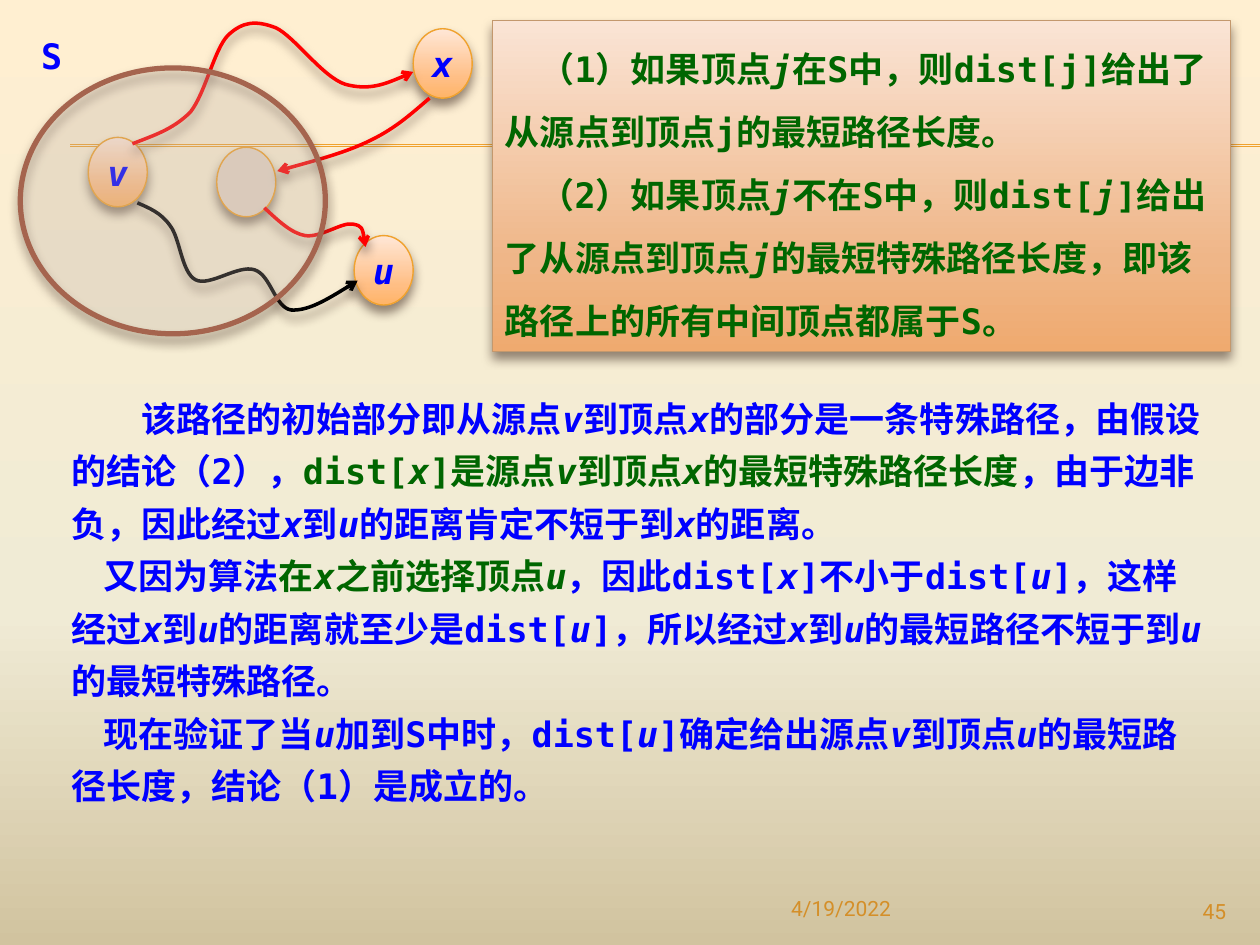
from copy import deepcopy

from lxml.etree import SubElement
from pptx import Presentation
from pptx.dml.color import RGBColor
from pptx.enum.shapes import MSO_CONNECTOR, MSO_SHAPE
from pptx.enum.text import MSO_ANCHOR, PP_ALIGN
from pptx.oxml.ns import qn
from pptx.util import Cm, Pt

MONO, BLUE, GREEN, GOLD = "DejaVu Sans Mono", "0000FF", "006600", "F0A22E"
BACKDROP = [(0, "FFEFD1"), (0.65, "F0EBD5"), (1, "D1C39F")]
NODE_FILL = [(0, "FFE7D7"), (0.72, "FFBE84"), (1, "FFB468")]
CLAIM_FILL = [(0, "FAE4D5"), (0.72, "EFB688"), (1, "EFAA6F")]

# In the texts, * toggles italic and | toggles the second colour.
CLAIMS = [
    (0.7, "（1）如果顶点*j*在S中，则dist[j]给出了从源点到顶点j的最短路径长度。"),
    (0.7, "（2）如果顶点*j*不在S中，则dist[*j*]给出了从源点到顶点*j*"
          "的最短特殊路径长度，即该路径上的所有中间顶点都属于S。"),
]
PROOF = [
    (1.41, "该路径的初始部分即从源点*v*到顶点*x*的部分是一条特殊路径，由假设的结论（2），"
           "|dist[*x*]是源点*v*到顶点*x*的最短特殊路径长度|，由于边非负，因此经过*x*到*u*"
           "的距离肯定不短于到*x*的距离。"),
    (0.65, "又因为算法|在*x*之前选择顶点*u*|，因此dist[*x*]不小于dist[*u*]，这样经过*x*到*u*"
           "的距离就至少是dist[*u*]，所以经过*x*到*u*的最短路径不短于到*u*的最短特殊路径。"),
    (0.65, "现在验证了当*u*加到S中时，dist[*u*]确定给出源点*v*到顶点*u*"
           "的最短路径长度，结论（1）是成立的。"),
]
NODES = [("v", 1.78, 2.77), ("x", 8.33, 0.58), ("u", 7.14, 4.75), ("", 4.37, 2.97)]
PATHS = [
    ("000000", [(2.77, 4.09), (3, 4.19), (3.25, 4.29), (3.43, 4.55),
                (3.63, 4.8), (3.66, 5.49), (3.94, 5.64),
                (4.22, 5.79), (4.8, 5.33), (5.13, 5.44),
                (5.46, 5.54), (5.54, 6.2), (5.87, 6.25),
                (6.22, 6.27), (6.71, 5.97), (7.21, 5.66)]),
    ("FF0000", [(2.67, 2.9), (3.07, 2.74), (3.48, 2.62), (3.84, 2.26),
                (4.14, 1.88), (4.32, 0.99), (4.6, 0.71),
                (4.9, 0.43), (5.16, 0.41), (5.56, 0.56),
                (5.94, 0.74), (6.5, 1.55), (6.96, 1.7),
                (7.44, 1.83), (7.9, 1.65), (8.33, 1.45)]),
    ("FF0000", [(8.66, 1.98), (8.33, 2.26), (8, 2.57), (7.49, 2.82),
                (6.99, 3.07), (6.3, 3.25), (5.59, 3.45)]),
    ("FF0000", [(5.33, 4.19), (5.61, 4.45), (5.87, 4.7), (6.15, 4.75),
                (6.45, 4.8), (6.91, 4.47), (7.11, 4.52),
                (7.32, 4.55), (7.34, 4.75), (7.37, 4.98)]),
]


def rgb(value):
    return RGBColor.from_string(value)


def paint_gradient(fill, element, stops):
    fill.gradient()
    fill.gradient_angle = 270
    stop_list = element.find(".//" + qn("a:gsLst"))
    stop_list.append(deepcopy(stop_list[0]))
    for stop, (position, color) in zip(fill.gradient_stops, stops):
        stop.position = position
        stop.color.rgb = rgb(color)


def outline(shape, color, width):
    shape.line.color.rgb = rgb(color)
    shape.line.width = Pt(width)


def cast_shadow(shape):
    shape.shadow.inherit = False
    effects = shape._element.spPr.find(qn("a:effectLst"))
    shadow = SubElement(effects, qn("a:outerShdw"), blurRad=str(Pt(6)),
                        dist=str(Pt(4)), dir="5400000", rotWithShape="0")
    color = SubElement(shadow, qn("a:srgbClr"), val="4E3B30")
    SubElement(color, qn("a:alpha"), val="60000")


def style_run(run, color, size=20, font=MONO, bold=True, italic=False):
    run.font.name = font
    run.font.size = Pt(size)
    run.font.bold = bold
    run.font.italic = italic
    run.font.color.rgb = rgb(color)


def write_paragraphs(frame, paragraphs, colors, spacing):
    frame.word_wrap = True
    for index, (indent, text) in enumerate(paragraphs):
        paragraph = frame.add_paragraph() if index else frame.paragraphs[0]
        paragraph.alignment = PP_ALIGN.LEFT
        paragraph.line_spacing = spacing
        paragraph._p.get_or_add_pPr().set("indent", str(Cm(indent)))
        for part_index, part in enumerate(text.split("|")):
            for piece_index, piece in enumerate(part.split("*")):
                if piece:
                    run = paragraph.add_run()
                    run.text = piece
                    style_run(run, colors[part_index % 2], italic=piece_index % 2 == 1)


def add_label(slide, box, text, align=PP_ALIGN.LEFT, **style):
    label = slide.shapes.add_textbox(*map(Cm, box))
    label.text_frame.word_wrap = True
    label.text_frame.text = text
    paragraph = label.text_frame.paragraphs[0]
    paragraph.alignment = align
    style_run(paragraph.runs[0], **style)


def add_node(slide, name, left, top):
    node = slide.shapes.add_shape(MSO_SHAPE.OVAL, Cm(left), Cm(top), Cm(1.19), Cm(1.4))
    outline(node, GOLD, 0.79)
    cast_shadow(node)
    if not name:
        node.fill.solid()
        node.fill.fore_color.rgb = rgb("E7D6C5")
        return
    paint_gradient(node.fill, node._element, NODE_FILL)
    frame = node.text_frame
    frame.margin_left = frame.margin_right = frame.margin_top = frame.margin_bottom = 0
    frame.word_wrap = False
    frame.vertical_anchor = MSO_ANCHOR.MIDDLE
    frame.text = name
    frame.paragraphs[0].alignment = PP_ALIGN.CENTER
    style_run(frame.paragraphs[0].runs[0], BLUE, italic=True)


def add_curve(slide, color, points):
    start, *rest = [(Cm(x), Cm(y)) for x, y in points]
    builder = slide.shapes.build_freeform(*start)
    builder.add_line_segments(rest, close=False)
    curve = builder.convert_to_shape()
    segments = curve._element.findall(".//" + qn("a:lnTo"))
    outline_path = segments[0].getparent()
    for first in range(0, len(segments), 3):
        bezier = SubElement(outline_path, qn("a:cubicBezTo"))
        for segment in segments[first:first + 3]:
            bezier.append(segment[0])
            outline_path.remove(segment)
    curve.fill.background()
    outline(curve, color, 2)
    SubElement(curve.line._get_or_add_ln(), qn("a:tailEnd"), type="arrow")
    cast_shadow(curve)


def main():
    deck = Presentation()
    deck.slide_width, deck.slide_height = Cm(25.4), Cm(19.05)
    slide = deck.slides.add_slide(deck.slide_layouts[6])
    paint_gradient(slide.background.fill, slide._element, BACKDROP)

    for y in (2.92, 2.95):
        rule = slide.shapes.add_connector(
            MSO_CONNECTOR.STRAIGHT, Cm(1.42), Cm(y), Cm(25.4), Cm(y))
        outline(rule, GOLD, 0.75)
        SubElement(rule._element.spPr, qn("a:effectLst"))

    proof = slide.shapes.add_textbox(Cm(1.19), Cm(7.67), Cm(23.39), Cm(8.81))
    write_paragraphs(proof.text_frame, PROOF, (BLUE, GREEN), Pt(30))

    for node in NODES:
        add_node(slide, *node)
    for color, points in PATHS:
        add_curve(slide, color, points)

    region = slide.shapes.add_shape(MSO_SHAPE.OVAL, Cm(0.41), Cm(1.37), Cm(6.15), Cm(5.36))
    region.fill.solid()
    region.fill.fore_color.rgb = rgb("F3EAE2")
    tint = region._element.spPr.find(qn("a:solidFill"))[0]
    SubElement(tint, qn("a:alpha"), val="19000")
    outline(region, "A5644E", 3)
    cast_shadow(region)
    add_label(slide, (0.58, 0.58, 0.99, 1.12), "S", color=BLUE)

    claim = slide.shapes.add_shape(MSO_SHAPE.RECTANGLE, Cm(9.93), Cm(0.41), Cm(14.88), Cm(6.68))
    paint_gradient(claim.fill, claim._element, CLAIM_FILL)
    outline(claim, "C3986D", 0.79)
    cast_shadow(claim)
    claim.text_frame.vertical_anchor = MSO_ANCHOR.TOP
    write_paragraphs(claim.text_frame, CLAIMS, (GREEN, GREEN), 1.5)

    footer = dict(color="D48F29", size=12, font="Roboto", bold=False)
    add_label(slide, (15.7, 17.93, 6.99, 0.81), "4/19/2022", **footer)
    add_label(slide, (22.86, 17.98, 2.11, 0.69), "45", PP_ALIGN.RIGHT, **footer)
    deck.save("out.pptx")


if __name__ == "__main__":
    main()
